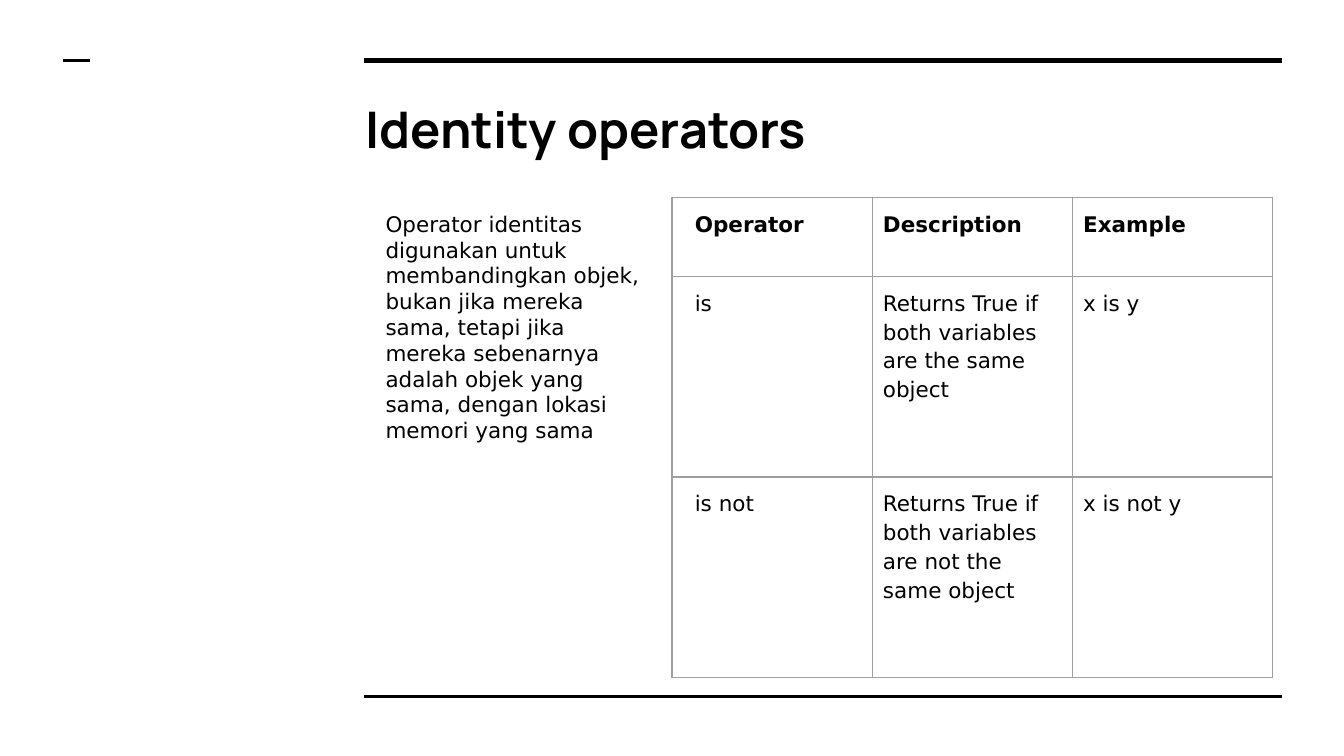
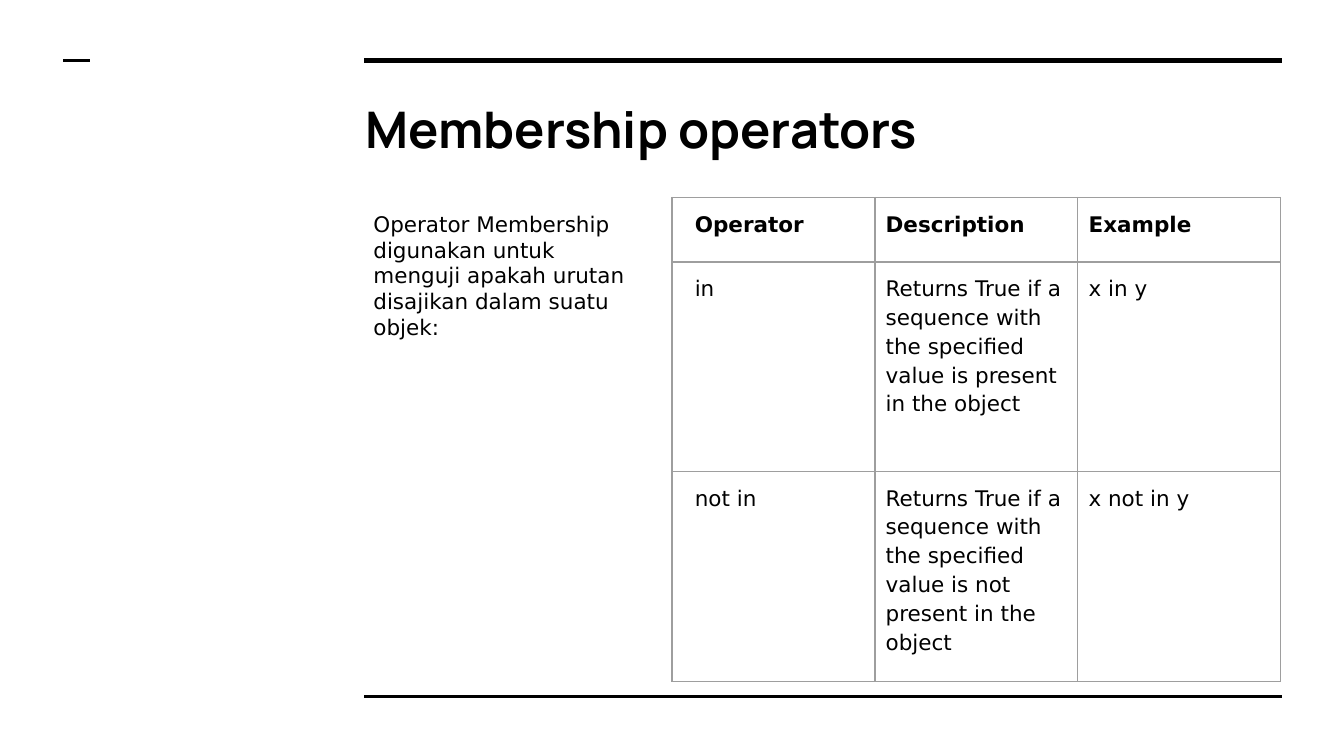
"""Build two slides about Python's identity and membership operators."""
from dataclasses import dataclass

from lxml.etree import SubElement
from pptx import Presentation
from pptx.dml.color import RGBColor
from pptx.enum.shapes import MSO_CONNECTOR
from pptx.enum.text import MSO_ANCHOR, MSO_AUTO_SIZE, PP_ALIGN
from pptx.oxml.ns import qn
from pptx.slide import Slide, SlideLayout
from pptx.text.text import TextFrame
from pptx.util import Inches, Length, Pt


@dataclass(frozen=True)
class Theme:
    ink: str = "000000"
    paper: str = "FFFFFF"
    border: str = "9E9E9E"
    title_font: str = "Manrope"
    body_font: str = "DejaVu Sans"
    title_size: float = 27
    body_size: float = 11.5
    border_width: float = 0.75
    cell_spacing: float = 15
    cell_line_spacing: float = 1.15


@dataclass(frozen=True)
class Rule:
    left: float
    right: float
    row: float
    weight: float


@dataclass(frozen=True)
class Box:
    left: float
    top: float
    width: float
    height: float


@dataclass(frozen=True)
class OperatorSlide:
    title: str
    intro: str
    intro_box: Box
    column_width: float
    row_heights: tuple[float, ...]
    rows: tuple[tuple[str, ...], ...]


THEME = Theme()
GRID_STEP = 0.1
SLIDE_COLUMNS, SLIDE_ROWS = 100, 56.25
CONTENT_TOP, TABLE_LEFT = 14.7, 50
TITLE_BOX = Box(26.2, 6.3, 69.1, 6.9)
TEXT_INSET, CELL_INSET, FIRST_CELL_INSET = 1, 0.8, 1.7
RULES = (
    Rule(27.1, 95.4, 4.5, 3),
    Rule(27.1, 95.4, 51.8, 1.5),
    Rule(4.7, 6.7, 4.5, 1.5),
)
HEADER = ("Operator", "Description", "Example")
SLIDES = (
    OperatorSlide(
        "Identity operators",
        "Operator identitas digunakan untuk membandingkan objek, bukan jika mereka sama, "
        "tetapi jika mereka sebenarnya adalah objek yang sama, dengan lokasi memori yang sama",
        Box(27.7, CONTENT_TOP, 21.5, 19.4),
        14.9,
        (5.9, 14.9, 14.9),
        (
            HEADER,
            ("is", "Returns True if both variables are the same object", "x is y"),
            ("is not", "Returns True if both variables are not the same object", "x is not y"),
        ),
    ),
    OperatorSlide(
        "Membership operators",
        "Operator Membership digunakan untuk menguji apakah urutan disajikan dalam suatu objek:",
        Box(26.8, CONTENT_TOP, 21.5, 11.7),
        15.1,
        (4.8, 15.6, 15.6),
        (
            HEADER,
            ("in", "Returns True if a sequence with the specified value is present in the object",
             "x in y"),
            ("not in",
             "Returns True if a sequence with the specified value is not present in the object",
             "x not in y"),
        ),
    ),
)


def grid(steps: float) -> Length:
    """Turn a number of grid steps into a length."""
    return Inches(steps * GRID_STEP)


def place(box: Box) -> tuple[Length, ...]:
    """Return the left, top, width and height of a box."""
    return grid(box.left), grid(box.top), grid(box.width), grid(box.height)


def write(frame: TextFrame, text: str, *, font: str = THEME.body_font,
          size: float = THEME.body_size, bold: bool = False,
          line_spacing: float = 1.0, spacing: float = 0) -> None:
    """Write one formatted paragraph into a text frame."""
    paragraph = frame.paragraphs[0]
    paragraph.alignment = PP_ALIGN.LEFT
    paragraph.line_spacing = line_spacing
    paragraph.space_before = paragraph.space_after = Pt(spacing)
    run = paragraph.add_run()
    run.text = text
    run.font.name = font
    run.font.size = Pt(size)
    run.font.bold = bold
    run.font.color.rgb = RGBColor.from_string(THEME.ink)


def set_frame(frame: TextFrame, auto_size: MSO_AUTO_SIZE) -> None:
    """Give a text frame its wrapping, anchor and insets."""
    frame.word_wrap = True
    frame.auto_size = auto_size
    frame.vertical_anchor = MSO_ANCHOR.TOP
    frame.margin_left = frame.margin_right = grid(TEXT_INSET)
    frame.margin_top = frame.margin_bottom = grid(TEXT_INSET)


def add_layout_rules(layout: SlideLayout, slide: Slide) -> None:
    """Draw the shared rules and move them to the layout."""
    for number, rule in enumerate(RULES, start=100):
        connector = slide.shapes.add_connector(
            MSO_CONNECTOR.STRAIGHT, grid(rule.left), grid(rule.row),
            grid(rule.right), grid(rule.row))
        connector.line.color.rgb = RGBColor.from_string(THEME.ink)
        connector.line.width = Pt(rule.weight)
        element = connector.element
        SubElement(element.spPr, qn("a:effectLst"))
        element.xpath(".//p:cNvPr")[0].set("id", str(number))
        layout.shapes.element.append(element)


def add_title(slide: Slide, text: str) -> None:
    """Place and fill the title placeholder."""
    title = slide.shapes.title
    title.left, title.top, title.width, title.height = place(TITLE_BOX)
    set_frame(title.text_frame, MSO_AUTO_SIZE.NONE)
    write(title.text_frame, text, font=THEME.title_font, size=THEME.title_size, bold=True)


def add_intro(slide: Slide, text: str, box: Box) -> None:
    """Add the explanation beside the table."""
    frame = slide.shapes.add_textbox(*place(box)).text_frame
    set_frame(frame, MSO_AUTO_SIZE.SHAPE_TO_FIT_TEXT)
    write(frame, text)


def add_borders(cell) -> None:
    """Outline all four sides of a table cell."""
    properties = cell._tc.get_or_add_tcPr()
    for position, side in enumerate(("lnL", "lnR", "lnT", "lnB")):
        line = SubElement(properties, qn(f"a:{side}"), w=str(Pt(THEME.border_width)))
        fill = SubElement(line, qn("a:solidFill"))
        SubElement(fill, qn("a:srgbClr"), val=THEME.border)
        properties.insert(position, line)


def add_operator_table(slide: Slide, content: OperatorSlide) -> None:
    """Add the table of operators, descriptions and examples."""
    box = Box(TABLE_LEFT, CONTENT_TOP, content.column_width * len(HEADER),
              sum(content.row_heights))
    table = slide.shapes.add_table(len(content.rows), len(HEADER), *place(box)).table
    table.first_row = table.horz_banding = False
    for column in table.columns:
        column.width = grid(content.column_width)
    for row_index, (height, texts) in enumerate(zip(content.row_heights, content.rows)):
        table.rows[row_index].height = grid(height)
        for column_index, text in enumerate(texts):
            cell = table.cell(row_index, column_index)
            cell.fill.background()
            cell.margin_left = grid(CELL_INSET if column_index else FIRST_CELL_INSET)
            cell.margin_right = cell.margin_top = cell.margin_bottom = grid(CELL_INSET)
            add_borders(cell)
            write(cell.text_frame, text, bold=row_index == 0,
                  line_spacing=THEME.cell_line_spacing, spacing=THEME.cell_spacing)


def main() -> None:
    """Build and save the presentation."""
    presentation = Presentation()
    presentation.slide_width = grid(SLIDE_COLUMNS)
    presentation.slide_height = grid(SLIDE_ROWS)
    background = presentation.slide_master.background.fill
    background.solid()
    background.fore_color.rgb = RGBColor.from_string(THEME.paper)
    layout = presentation.slide_layouts.get_by_name("Title Only")
    for index, content in enumerate(SLIDES):
        slide = presentation.slides.add_slide(layout)
        if index == 0:
            add_layout_rules(layout, slide)
        add_title(slide, content.title)
        add_operator_table(slide, content)
        add_intro(slide, content.intro, content.intro_box)
    presentation.save("out.pptx")


if __name__ == "__main__":
    main()
